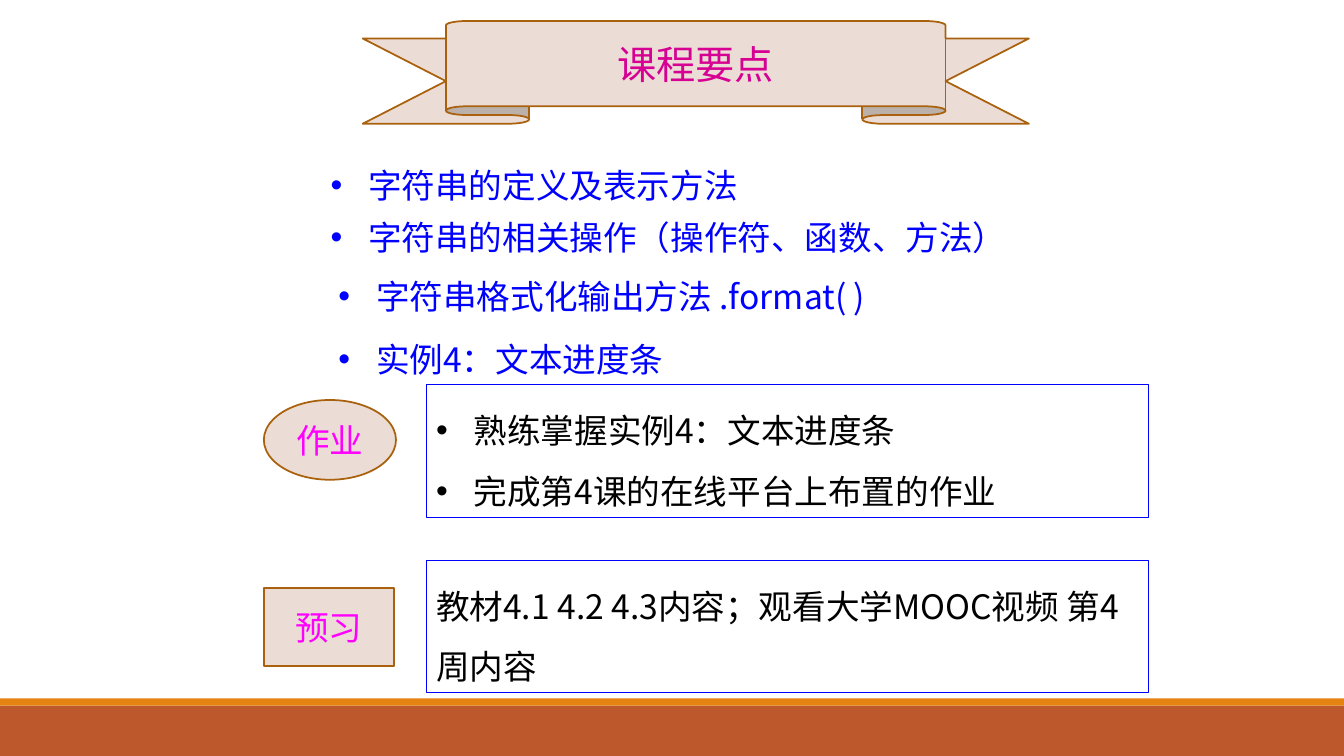
"""Build the course summary slide."""
from dataclasses import dataclass

from lxml import etree
from pptx import Presentation
from pptx.dml.color import RGBColor
from pptx.enum.shapes import MSO_SHAPE
from pptx.enum.text import MSO_ANCHOR, PP_ALIGN
from pptx.oxml.ns import qn
from pptx.util import Cm, Pt

RECT, OVAL, RIBBON = MSO_SHAPE.RECTANGLE, MSO_SHAPE.OVAL, MSO_SHAPE.UP_RIBBON
TOP, MIDDLE = MSO_ANCHOR.TOP, MSO_ANCHOR.MIDDLE
LEFT, CENTER = PP_ALIGN.LEFT, PP_ALIGN.CENTER


@dataclass(frozen=True)
class Theme:
    """Colours, type sizes and font of the slide."""
    face: str = "Noto Sans CJK SC"
    title: int = 28
    body: int = 24
    rust: str = "BD582C"
    orange: str = "E48312"
    sand: str = "EBDCD5"
    brown: str = "A9610D"
    blue: str = "0000FF"
    rose: str = "D60093"
    pink: str = "FF00FF"
    black: str = "000000"


class Deck:
    """Hold the theme and the current slide."""

    def __init__(self, theme):
        """Open a blank wide slide."""
        self.theme = theme
        self.file = Presentation()
        self.file.slide_width, self.file.slide_height = Cm(33.87), Cm(19.05)
        self.slide = self.file.slides.add_slide(self.file.slide_layouts[6])

    def apply(self, target, values):
        """Set each attribute named in values."""
        for name, value in values.items():
            setattr(target, name, value)

    def text(self, shape, lines, color, size, bullet=False, **form):
        """Fill a shape with styled paragraphs."""
        frame = shape.text_frame
        self.apply(frame, {"word_wrap": True, "vertical_anchor": form.pop("anchor", TOP)})
        for i, line in enumerate(lines):
            par = frame.add_paragraph() if i else frame.paragraphs[0]
            self.apply(par, {"alignment": LEFT, **form})
            if bullet:
                self.bullet(par)
            run = par.add_run()
            run.text = line
            self.apply(run.font, {"name": self.theme.face, "size": Pt(size)})
            run.font.color.rgb = RGBColor.from_string(color)
            east = etree.SubElement(run._r.get_or_add_rPr(), qn("a:ea"))
            east.set("typeface", self.theme.face)

    def bullet(self, par):
        """Give a paragraph a round bullet and hanging indent."""
        props = par._p.get_or_add_pPr()
        for name, value in {"marL": Cm(0.95), "indent": Cm(-0.95)}.items():
            props.set(name, str(int(value)))
        font = etree.SubElement(props, qn("a:buFont"))
        font.set("typeface", "Arial")
        mark = etree.SubElement(props, qn("a:buChar"))
        mark.set("char", "•")

    def shape(self, kind, box, fill=None, line=None, width=1.25):
        """Add a preset shape with plain fill and line."""
        shape = self.slide.shapes.add_shape(kind, *map(Cm, box))
        shape.shadow.inherit = False
        if fill:
            shape.fill.solid()
            shape.fill.fore_color.rgb = RGBColor.from_string(fill)
        else:
            shape.fill.background()
        if line:
            shape.line.color.rgb = RGBColor.from_string(line)
            shape.line.width = Pt(width)
        else:
            shape.line.fill.background()
        return shape

    def label(self, kind, box, text, color, size):
        """Add a sand shape with a centred label."""
        shape = self.shape(kind, box, self.theme.sand, self.theme.brown)
        self.text(shape, [text], color, size, anchor=MIDDLE, alignment=CENTER)
        return shape

    def point(self, left, top, text):
        """Add one bulleted key point."""
        box = self.slide.shapes.add_textbox(*map(Cm, (left, top, 20.4, 1.8)))
        self.text(box, [text], self.theme.blue, self.theme.body, True, line_spacing=1.5)

    def panel(self, top, lines, bullet):
        """Add a blue outlined box of text."""
        shape = self.shape(RECT, (10.74, top, 18.21, 3.33), line=self.theme.blue, width=0.75)
        self.text(shape, lines, self.theme.black, self.theme.body, bullet, line_spacing=1.5)


def main():
    """Draw and save the slide."""
    theme = Theme()
    deck = Deck(theme)
    deck.shape(RECT, (0, 17.78, 33.87, 1.27), theme.rust)
    deck.shape(RECT, (0, 17.6, 33.87, 0.18), theme.orange)

    ribbon = deck.label(RIBBON, (9.14, 0.53, 16.79, 2.59), "课程要点", theme.rose, theme.title)
    for i, value in enumerate((0.17, 0.75)):
        ribbon.adjustments[i] = value

    for left, top, text in (
        (8.08, 3.53, "字符串的定义及表示方法"),
        (8.08, 4.83, "字符串的相关操作（操作符、函数、方法）"),
        (8.28, 6.32, "字符串格式化输出方法 .format( )"),
        (8.28, 7.9, "实例4：文本进度条"),
    ):
        deck.point(left, top, text)

    deck.label(OVAL, (6.65, 10.08, 3.33, 2.01), "作业", theme.pink, theme.body)
    deck.panel(9.7, ["熟练掌握实例4：文本进度条", "完成第4课的在线平台上布置的作业"], True)
    deck.label(RECT, (6.65, 14.81, 3.28, 1.98), "预习", theme.pink, theme.body)
    deck.panel(14.12, ["教材4.1 4.2 4.3内容；观看大学MOOC视频 第4周内容"], False)

    deck.file.save("out.pptx")


if __name__ == "__main__":
    main()
